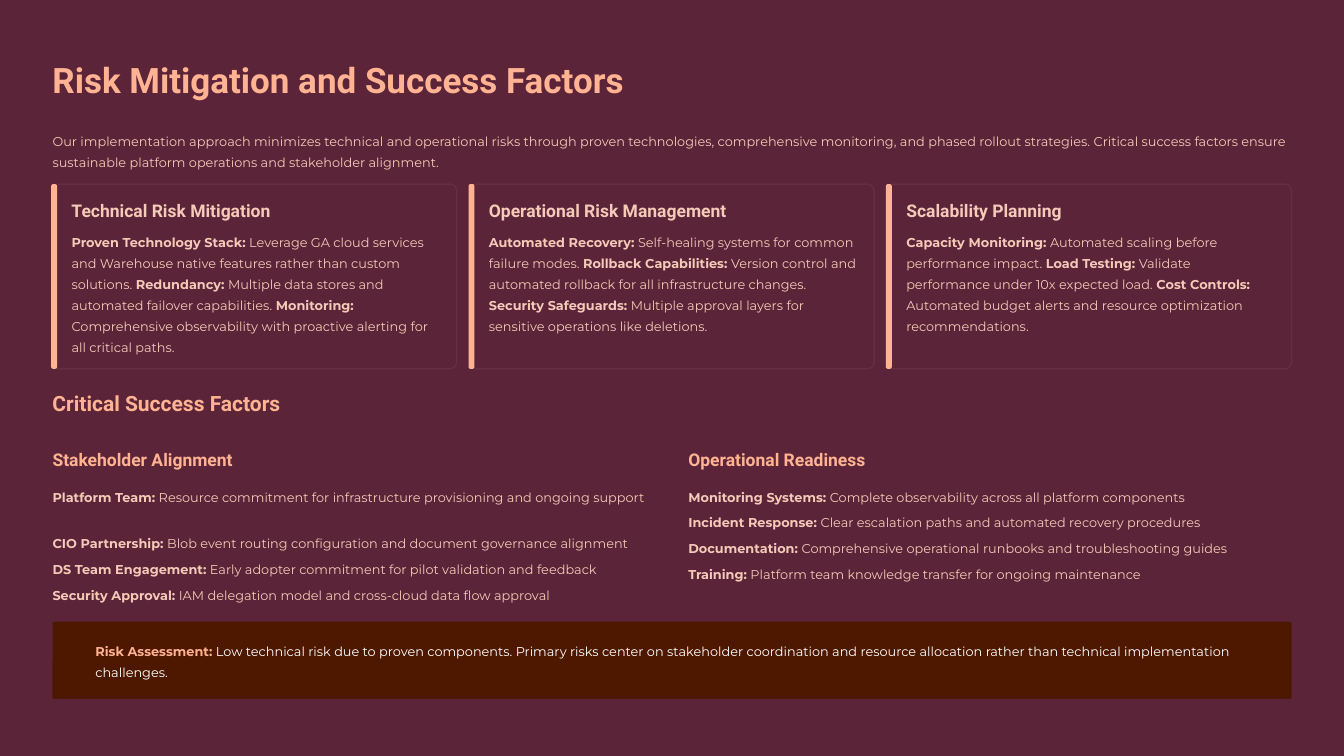
import pptx
import pptx.dml.color
import pptx.enum.shapes
import pptx.util

Pt = pptx.util.Pt
WINE, PEACH, BLUSH, EDGE, BROWN, WHITE = (
    "5C2438", "FFB393", "F4CAB8", "662E42", "4D1700", "FFFFFF")
HEAD, BODY = "Roboto", "Montserrat"
LEFT, WIDE, GAP = 45, 1062, 11.25

CARDS = [
    ("Technical Risk Mitigation", 185, 108, [
        "Proven Technology Stack:",
        " Leverage GA cloud services and Warehouse native features rather than custom solutions. ",
        "Redundancy:",
        " Multiple data stores and automated failover capabilities. ",
        "Monitoring:",
        " Comprehensive observability with proactive alerting for all critical paths."]),
    ("Operational Risk Management", 222, 90, [
        "Automated Recovery:",
        " Self-healing systems for common failure modes. ",
        "Rollback Capabilities:",
        " Version control and automated rollback for all infrastructure changes. ",
        "Security Safeguards:",
        " Multiple approval layers for sensitive operations like deletions."]),
    ("Scalability Planning", 150.5, 90, [
        "Capacity Monitoring:",
        " Automated scaling before performance impact. ",
        "Load Testing:",
        " Validate performance under 10x expected load. ",
        "Cost Controls:",
        " Automated budget alerts and resource optimization recommendations."]),
]

LISTS = [
    ("Stakeholder Alignment", 170, [
        (2, "Platform Team:", " Resource commitment for infrastructure provisioning and ongoing support"),
        (1, "CIO Partnership:", " Blob event routing configuration and document governance alignment"),
        (1, "DS Team Engagement:", " Early adopter commitment for pilot validation and feedback"),
        (1, "Security Approval:", " IAM delegation model and cross-cloud data flow approval")]),
    ("Operational Readiness", 165, [
        (1, "Monitoring Systems:", " Complete observability across all platform components"),
        (1, "Incident Response:", " Clear escalation paths and automated recovery procedures"),
        (1, "Documentation:", " Comprehensive operational runbooks and troubleshooting guides"),
        (1, "Training:", " Platform team knowledge transfer for ongoing maintenance")]),
]


def tint(code):
    return pptx.dml.color.RGBColor.from_string(code)


def text(slide, box, runs, size=11, font=BODY, lead=18):
    frame = slide.shapes.add_textbox(*map(Pt, box)).text_frame
    frame.word_wrap = True
    frame.margin_left = frame.margin_right = 0
    frame.margin_top = frame.margin_bottom = 0
    para = frame.paragraphs[0]
    para.line_spacing = Pt(lead)
    for words, code, bold in runs:
        run = para.add_run()
        run.text = words
        run.font.name = font
        run.font.size = Pt(size)
        run.font.bold = bold
        run.font.color.rgb = tint(code)


def head(slide, box, words, code, size, lead):
    text(slide, box, [(words, code, True)], size, HEAD, lead)


def mixed(words):
    return [(part, BLUSH, i % 2 == 0) for i, part in enumerate(words)]


def panel(slide, box, code, curve, edge=None):
    shape = slide.shapes.add_shape(
        pptx.enum.shapes.MSO_SHAPE.ROUNDED_RECTANGLE, *map(Pt, box))
    shape.adjustments[0] = curve
    shape.shadow.inherit = False
    shape.fill.solid()
    shape.fill.fore_color.rgb = tint(code)
    if edge:
        shape.line.color.rgb = tint(edge)
        shape.line.width = Pt(1.2)
    else:
        shape.line.fill.background()


def intro(slide, x, y, w):
    head(slide, (x, y, 518.5, 37.5), "Risk Mitigation and Success Factors", PEACH, 30, 37.5)
    text(slide, (x, y + 60.5, w, 36), [(
        "Our implementation approach minimizes technical and operational risks through "
        "proven technologies, comprehensive monitoring, and phased rollout strategies. "
        "Critical success factors ensure sustainable platform operations and stakeholder "
        "alignment.", BLUSH, False)])


def card(slide, x, y, w, h, title, span, tall, words):
    panel(slide, (x, y, w, h), WINE, 0.036, EDGE)
    panel(slide, (x - 1.1, y, 5, h), PEACH, 0.352)
    head(slide, (x + 16.3, y + 13, span, 18.5), title, BLUSH, 15, 18.5)
    text(slide, (x + 16.3, y + 38.2, w - 29, tall), mixed(words))


def column(slide, x, y, w, title, span, items):
    head(slide, (x, y, span, 18.5), title, PEACH, 15, 18.5)
    y += 30
    for lines, *words in items:
        text(slide, (x, y, w, 18 * lines), mixed(words))
        y += 18 * lines + 4


def banner(slide, x, y, w, h):
    panel(slide, (x, y, w, h), BROWN, 0.026)
    text(slide, (x + 36.8, y + 14.4, w - 48, 36), [
        ("Risk Assessment:", PEACH, True),
        (" Low technical risk due to proven components. Primary risks center on "
         "stakeholder coordination and resource allocation rather than technical "
         "implementation challenges.", WHITE, False)])


def main():
    deck = pptx.Presentation()
    deck.slide_width, deck.slide_height = Pt(1152), Pt(648)
    slide = deck.slides.add_slide(deck.slide_layouts[6])
    slide.background.fill.solid()
    slide.background.fill.fore_color.rgb = tint(WINE)

    intro(slide, LEFT, 49, WIDE)
    width = (WIDE - 2 * GAP) / 3
    for i, parts in enumerate(CARDS):
        card(slide, LEFT + i * (width + GAP), 157.8, width, 158.4, *parts)
    head(slide, (LEFT, 333.4, 205, 22.5), "Critical Success Factors", PEACH, 18, 22.5)
    width = 517
    for i, parts in enumerate(LISTS):
        column(slide, LEFT + i * (WIDE - width), 384.6, width, *parts)
    banner(slide, LEFT, 532.8, WIDE, 66.2)
    deck.save("out.pptx")


if __name__ == "__main__":
    main()
